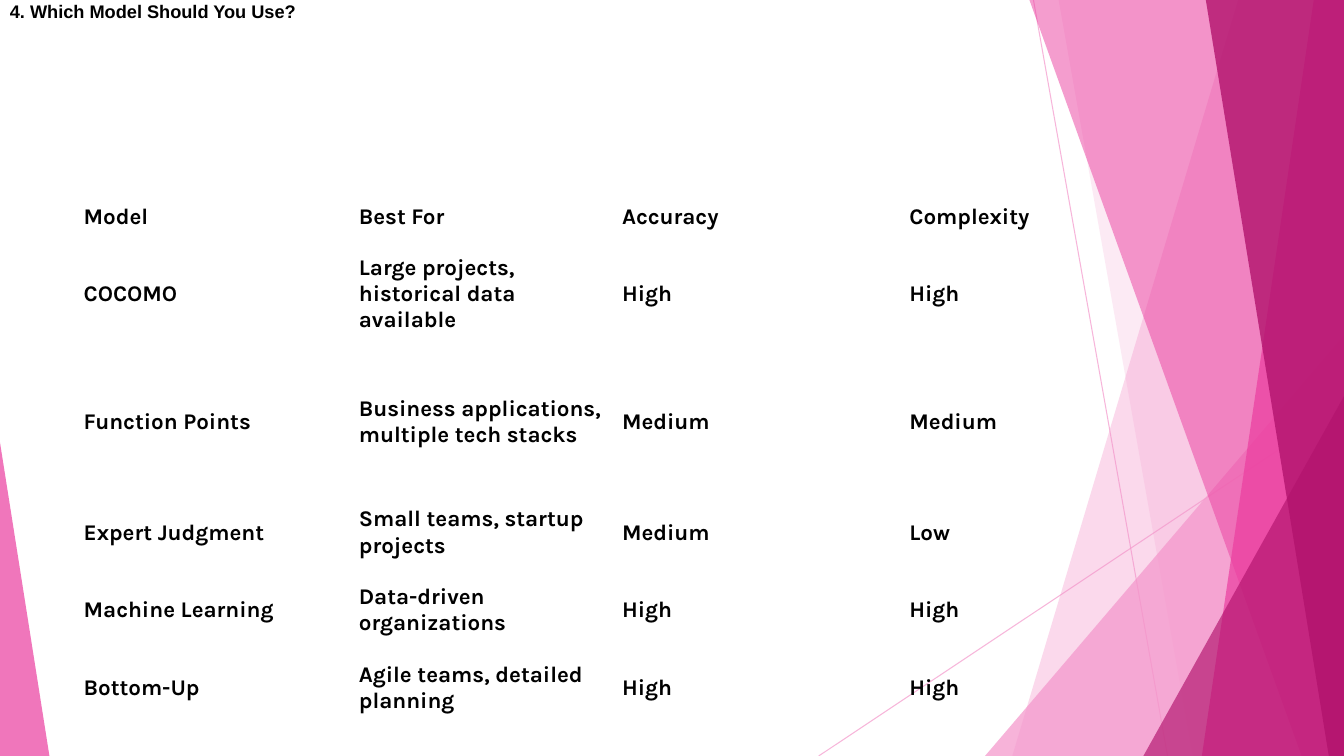
"""Builds a slide comparing estimation models beside a band of pink facets."""
from pptx import Presentation
from pptx.dml.color import RGBColor
from pptx.enum.shapes import MSO_CONNECTOR as Connector, MSO_SHAPE as Shape
from pptx.enum.text import MSO_ANCHOR as Anchor
from pptx.oxml.ns import qn
from pptx.util import Inches, Pt
from lxml.etree import SubElement

COLORS = {"text": "000000", "light": "F496CB", "pink": "EB3D9F", "deep": "B2136D"}
NO_GRID_STYLE = "{2D5ABB26-0587-4C30-8999-92F81FD0307C}"
SLIDE_BOX = (0, 0, 13.33, 7.5)

RAYS = [((10.25, 0), (11.58, 7.5)), ((13.33, 4.03), (8.12, 7.5))]
BACK_FACETS = [(12.28, 10.04, "light", 36), (10.5, 11.83, "light", 20)]
FRONT_FACETS = [
    (10.21, 12.91, "pink", 50),
    (13.03, 11.92, "pink", 70),
    (11.96, 13.18, "deep", 80),
]

COLUMN_WIDTHS = [2.73, 2.61, 2.85, 2.73]
ROW_HEIGHTS = [0.44, 1.1, 1.43, 0.77, 0.77, 0.77]
MODELS = [
    ("Model", "Best For", "Accuracy", "Complexity"),
    ("COCOMO", "Large projects, historical data available", "High", "High"),
    ("Function Points", "Business applications, multiple tech stacks", "Medium", "Medium"),
    ("Expert Judgment", "Small teams, startup projects", "Medium", "Low"),
    ("Machine Learning", "Data-driven organizations", "High", "High"),
    ("Bottom-Up", "Agile teams, detailed planning", "High", "High"),
]


def write(frame, text, font="Karla", size=16, color="text", bold=True):
    """Put one formatted line of text into a text frame."""
    frame.word_wrap = True
    run = frame.paragraphs[0].add_run()
    run.text = text
    run.font.name = font
    run.font.size = Pt(size)
    run.font.bold = bold
    run.font.color.rgb = RGBColor.from_string(COLORS[color])


def tint(fill, holder, color, opacity):
    """Give a fill a solid colour with an opacity in percent."""
    fill.solid()
    fill.fore_color.rgb = RGBColor.from_string(COLORS[color])
    rgb = next(holder.iter(qn("a:srgbClr")))
    SubElement(rgb, qn("a:alpha")).set("val", str(opacity * 1000))


def paint(shape, color, opacity):
    """Make a shape flat, borderless and translucent."""
    shape.shadow.inherit = False
    shape.line.fill.background()
    tint(shape.fill, shape.element.spPr, color, opacity)


def add_ray(slide, box, start, end):
    """Draw a thin translucent line between two points of the box."""
    left, top = box[:2]
    ray = slide.shapes.add_connector(
        Connector.STRAIGHT,
        Inches(left + start[0]), Inches(top + start[1]),
        Inches(left + end[0]), Inches(top + end[1]))
    ray.line.width = Pt(0.75)
    tint(ray.line.fill, ray.element.spPr, "light", 70)
    SubElement(ray.element.spPr, qn("a:effectLst"))


def add_facet(slide, box, top_x, bottom_x, color, opacity):
    """Fill the box from a slanted edge to its right side."""
    left, top, width, height = box
    right, bottom = left + width, top + height
    outline = slide.shapes.build_freeform(Inches(left + top_x), Inches(top))
    outline.add_line_segments([
        (Inches(right), Inches(top)),
        (Inches(right), Inches(bottom)),
        (Inches(left + bottom_x), Inches(bottom)),
    ])
    paint(outline.convert_to_shape(), color, opacity)


def add_corner(slide, box, width, height, color, opacity, on_right=True):
    """Place a right triangle in a bottom corner of the box."""
    left, top, box_width, box_height = box
    x = left + box_width - width if on_right else left
    corner = slide.shapes.add_shape(
        Shape.ISOSCELES_TRIANGLE, Inches(x), Inches(top + box_height - height),
        Inches(width), Inches(height))
    corner.adjustments[0] = 1 if on_right else 0
    paint(corner, color, opacity)


def add_backdrop(slide, box):
    """Layer the rays, facets and corners from back to front."""
    for start, end in RAYS:
        add_ray(slide, box, start, end)
    for facet in BACK_FACETS:
        add_facet(slide, box, *facet)
    add_corner(slide, box, 3.56, 4.17, "light", 72)
    for facet in FRONT_FACETS:
        add_facet(slide, box, *facet)
    add_corner(slide, box, 1.99, 3.57, "deep", 66)
    add_corner(slide, box, 0.49, 3.11, "pink", 70, on_right=False)


def add_models(slide, box):
    """Fill the box with the borderless table of models."""
    table = slide.shapes.add_table(
        len(MODELS), len(COLUMN_WIDTHS), *map(Inches, box)).table
    table.first_row = table.horz_banding = False
    table._tbl.tblPr.find(qn("a:tableStyleId")).text = NO_GRID_STYLE
    for column, width in zip(table.columns, COLUMN_WIDTHS):
        column.width = Inches(width)
    for row, height, entries in zip(table.rows, ROW_HEIGHTS, MODELS):
        row.height = Inches(height)
        for cell, entry in zip(row.cells, entries):
            cell.fill.background()
            cell.vertical_anchor = Anchor.MIDDLE
            cell.margin_left = cell.margin_right = Inches(0.09)
            cell.margin_top = cell.margin_bottom = Inches(0.04)
            write(cell.text_frame, entry)


def add_heading(slide, box):
    """Write the question at the top of the box."""
    frame = slide.shapes.add_textbox(*map(Inches, box)).text_frame
    frame.margin_top = frame.margin_bottom = 0
    write(frame, "4. Which Model Should You Use?", font="Arial", size=13)


def main():
    """Build and save the slide."""
    deck = Presentation()
    deck.slide_width, deck.slide_height = map(Inches, SLIDE_BOX[2:])
    slide = deck.slides.add_slide(deck.slide_layouts[6])
    add_backdrop(slide, SLIDE_BOX)
    add_models(slide, (0.74, 1.93, sum(COLUMN_WIDTHS), sum(ROW_HEIGHTS)))
    add_heading(slide, (0, 0, 13.33, 0.5))
    deck.save("out.pptx")


if __name__ == "__main__":
    main()
